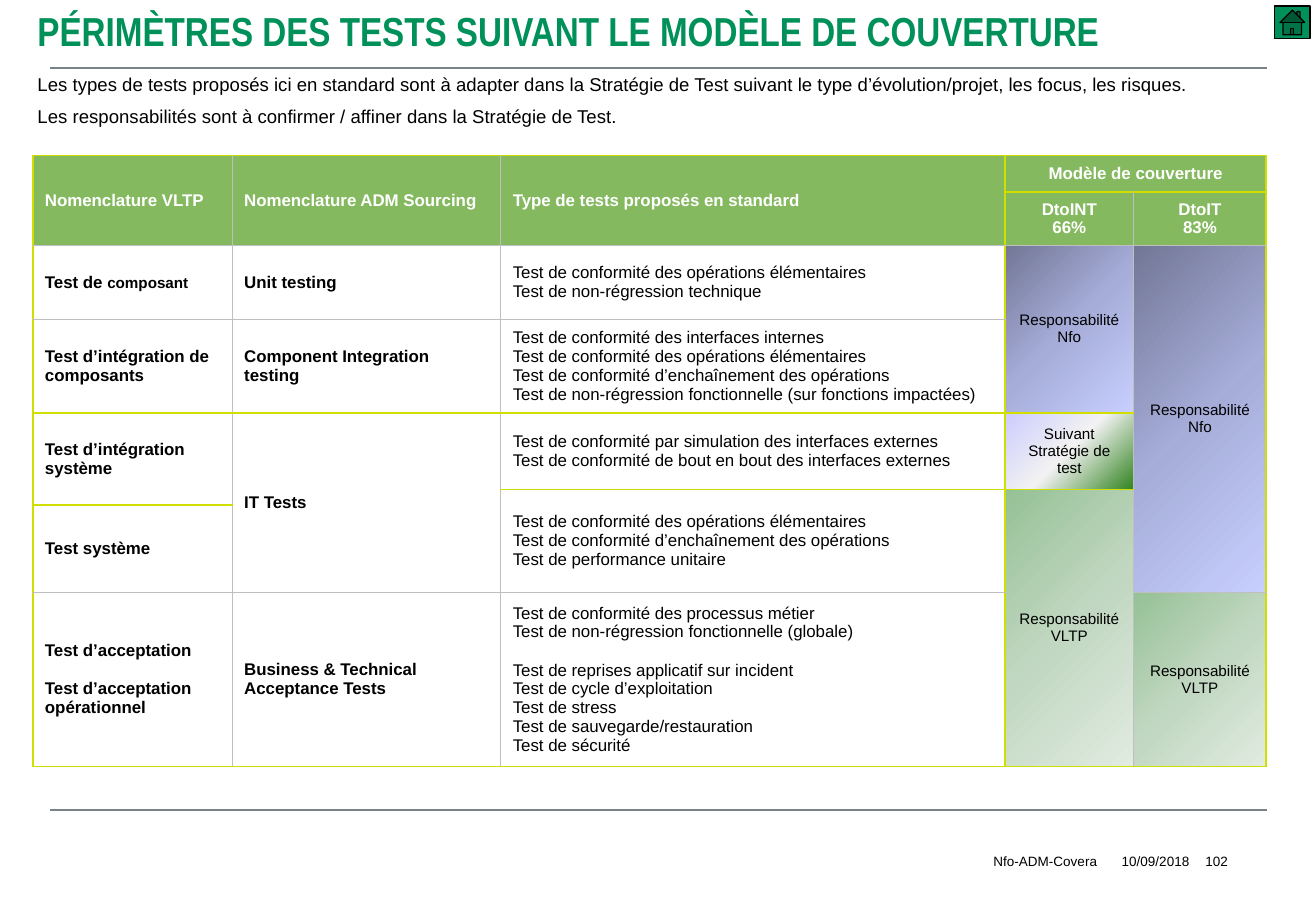
from lxml import etree
from pptx import Presentation
from pptx import util as u
from pptx.dml.color import RGBColor
from pptx.enum import shapes, text
from pptx.oxml.ns import qn

GREEN, LIME, GREY, HEAD = "00915A", "D0DF00", "BFBFBF", "85B95F"
BLUE = ("727796", "A6ADD9", "C7CFFF")
MIX = ("CCCCFF", "F2F2F2", "328420")
MINT = ("96C196", "C1D7C1", "E1EBE1")
LEFT, MID, RIGHT = text.PP_ALIGN.LEFT, text.PP_ALIGN.CENTER, text.PP_ALIGN.RIGHT

COLS = [1.64, 2.21, 4.15, 1.06, 1.09]
ROWS = [0.3, 0.44, 0.61, 0.77, 0.63, 0.13, 0.72, 1.43]
LIME_ROWS = {0: range(5), 1: (3, 4), 4: range(4), 5: (2, 3), 6: (0,), 8: range(5)}
LIME_COLS = (0, 3, 5)

BOLD = {"size": 10, "bold": True}
WHITE = {**BOLD, "hue": "FFFFFF"}
BODY = {"size": 10}
ROLE = {"size": 9, "align": MID}
MAIN = {**WHITE, "align": MID}

CELLS = [
    (0, 0, 2, 1, HEAD, WHITE, ["Nomenclature VLTP"]),
    (0, 1, 2, 1, HEAD, WHITE, ["Nomenclature ADM Sourcing"]),
    (0, 2, 2, 1, HEAD, WHITE, ["Type de tests proposés en standard"]),
    (0, 3, 1, 2, HEAD, MAIN, ["Modèle de couverture"]),
    (1, 3, 1, 1, HEAD, MAIN, ["DtoINT", "66%"]),
    (1, 4, 1, 1, HEAD, MAIN, ["DtoIT", "83%"]),
    (2, 0, 1, 1, None, BOLD, [[("Test de ", 10), ("composant", 9)]]),
    (2, 1, 1, 1, None, BOLD, ["Unit testing"]),
    (2, 2, 1, 1, None, BODY, ["Test de conformité des opérations élémentaires",
                              "Test de non-régression technique"]),
    (2, 3, 2, 1, BLUE, ROLE, ["Responsabilité", "Nfo"]),
    (2, 4, 5, 1, BLUE, ROLE, ["Responsabilité", "Nfo"]),
    (3, 0, 1, 1, None, BOLD, ["Test d’intégration de composants"]),
    (3, 1, 1, 1, None, BOLD, ["Component Integration testing"]),
    (3, 2, 1, 1, None, BODY, ["Test de conformité des interfaces internes",
                              "Test de conformité des opérations élémentaires",
                              "Test de conformité d’enchaînement des opérations",
                              "Test de non-régression fonctionnelle (sur fonctions impactées)"]),
    (4, 0, 2, 1, None, BOLD, ["Test d’intégration système"]),
    (4, 1, 3, 1, None, BOLD, ["IT Tests"]),
    (4, 2, 1, 1, None, BODY, ["Test de conformité par simulation des interfaces externes",
                              "Test de conformité de bout en bout des interfaces externes"]),
    (4, 3, 1, 1, MIX, ROLE, ["Suivant Stratégie de test"]),
    (5, 2, 2, 1, None, BODY, ["Test de conformité des opérations élémentaires",
                              "Test de conformité d’enchaînement des opérations",
                              "Test de performance unitaire"]),
    (5, 3, 3, 1, MINT, ROLE, ["Responsabilité", "VLTP"]),
    (6, 0, 1, 1, None, BOLD, ["Test système"]),
    (7, 0, 1, 1, None, {**BOLD, "gaps": {1: 11.5}},
     ["Test d’acceptation", "Test d’acceptation opérationnel"]),
    (7, 1, 1, 1, None, BOLD, ["Business & Technical Acceptance Tests"]),
    (7, 2, 1, 1, None, {**BODY, "gaps": {2: 11.5}},
     ["Test de conformité des processus métier",
      "Test de non-régression fonctionnelle (globale)",
      "Test de reprises applicatif sur incident",
      "Test de cycle d’exploitation",
      "Test de stress",
      "Test de sauvegarde/restauration",
      "Test de sécurité"]),
    (7, 4, 1, 1, MINT, ROLE, ["Responsabilité", "VLTP"]),
]


def color(code):
    return RGBColor.from_string(code)


def place(box):
    return [u.Inches(n) for n in box]


def apply(item, values):
    for name, value in values.items():
        setattr(item, name, value)


def write(frame, lines, size, bold=False, hue="000000", face="Arial", align=LEFT, gaps=None):
    for i, line in enumerate(lines):
        para = frame.paragraphs[0] if i == 0 else frame.add_paragraph()
        apply(para, {"alignment": align, "space_before": u.Pt((gaps or {}).get(i, 0))})
        for words, pts in ([(line, size)] if isinstance(line, str) else line):
            run = para.add_run()
            run.text = words
            apply(run.font, {"size": u.Pt(pts), "bold": bold, "name": face})
            run.font.color.rgb = color(hue)


def label(slide, box, lines, inset=None, anchor=text.MSO_ANCHOR.TOP, **style):
    frame = slide.shapes.add_textbox(*place(box)).text_frame
    apply(frame, {"word_wrap": True, "vertical_anchor": anchor})
    if inset is not None:
        apply(frame, {"margin_" + side: u.Inches(inset)
                      for side in ("left", "top", "right", "bottom")})
    write(frame, lines, **style)


def rule(slide, left, top, width):
    line = slide.shapes.add_connector(
        shapes.MSO_CONNECTOR.STRAIGHT, *place((left, top, left + width, top)))
    line.line.color.rgb = color("78848A")
    line.line.width = u.Pt(1)
    etree.SubElement(line._element.spPr, qn("a:effectLst"))


def header(slide, box):
    left, top, width, height = box
    label(slide, box, ["PÉRIMÈTRES DES TESTS SUIVANT LE MODÈLE DE COUVERTURE"],
          size=24, bold=True, hue=GREEN, face="Arial Narrow")
    rule(slide, left + 0.2, top + height + 0.08, width - 0.2)
    home = slide.shapes.add_shape(shapes.MSO_SHAPE.ACTION_BUTTON_HOME,
                                  *place((left + width + 0.06, top + 0.05, 0.29, 0.27)))
    home.shadow.inherit = False
    home.fill.solid()
    home.fill.fore_color.rgb = color(GREEN)
    home.line.color.rgb = color("000000")
    home.line.width = u.Pt(0.75)


def intro(slide, box):
    label(slide, box, [
        "Les types de tests proposés ici en standard sont à adapter dans la Stratégie de Test "
        "suivant le type d’évolution/projet, les focus, les risques.",
        "Les responsabilités sont à confirmer / affiner dans la Stratégie de Test."],
        size=11, gaps={1: 6})


def paint(node, code):
    etree.SubElement(node, qn("a:srgbClr"), val=code)


def border(cell, row, col, high, wide):
    edges = {"L": col in LIME_COLS, "R": col + wide in LIME_COLS,
             "T": col in LIME_ROWS.get(row, ()),
             "B": col in LIME_ROWS.get(row + high, ())}
    props = cell._tc.get_or_add_tcPr()
    for side, lime in edges.items():
        line = etree.SubElement(props, qn("a:ln" + side), w=str(u.Pt(1 if lime else 0.75)))
        paint(etree.SubElement(line, qn("a:solidFill")), LIME if lime else GREY)


def shade(cell, fill):
    if fill is None:
        cell.fill.background()
    elif isinstance(fill, str):
        cell.fill.solid()
        cell.fill.fore_color.rgb = color(fill)
    else:
        grad = etree.SubElement(cell._tc.get_or_add_tcPr(), qn("a:gradFill"), rotWithShape="1")
        stops = etree.SubElement(grad, qn("a:gsLst"))
        for i, code in enumerate(fill):
            paint(etree.SubElement(stops, qn("a:gs"), pos=str(i * 50000)), code)
        etree.SubElement(grad, qn("a:lin"), ang="2700000", scaled="0")


def matrix(slide, box):
    grid = slide.shapes.add_table(len(ROWS), len(COLS), *place(box)).table
    apply(grid, {"first_row": False, "horz_banding": False})
    for part, size in zip(grid.columns, COLS):
        part.width = u.Inches(size)
    for part, size in zip(grid.rows, ROWS):
        part.height = u.Inches(size)
    for row, col, high, wide, fill, style, lines in CELLS:
        cell = grid.cell(row, col)
        if high * wide > 1:
            cell.merge(grid.cell(row + high - 1, col + wide - 1))
        for y in range(row, row + high):
            for x in range(col, col + wide):
                border(grid.cell(y, x), row, col, high, wide)
                shade(grid.cell(y, x), fill)
        cell.vertical_anchor = text.MSO_ANCHOR.MIDDLE
        if row == 1:
            apply(cell, {"margin_left": 0, "margin_right": 0})
        write(cell.text_frame, lines, **style)


def footer(slide, box):
    left, top, width, height = box
    rule(slide, left, top, width)
    for shift, wide, words, align in ((6.44, 2.18, "Nfo-ADM-Covera", RIGHT),
                                      (8.68, 0.84, "10/09/2018", MID),
                                      (9.51, 0.21, "102", LEFT)):
        label(slide, (left + shift, top + height - 0.2, wide, 0.2), [words],
              inset=0, anchor=text.MSO_ANCHOR.MIDDLE, size=8, align=align)


def main():
    deck = Presentation()
    apply(deck, {"slide_width": u.Inches(10.83), "slide_height": u.Inches(7.5)})
    slide = deck.slides.add_slide(deck.slide_layouts[6])
    header(slide, (0.21, 0, 10.22, 0.48))
    intro(slide, (0.21, 0.55, 10.52, 0.56))
    matrix(slide, (0.27, 1.28, sum(COLS), sum(ROWS)))
    footer(slide, (0.41, 6.67, 10.02, 0.52))
    deck.save("out.pptx")


if __name__ == "__main__":
    main()
